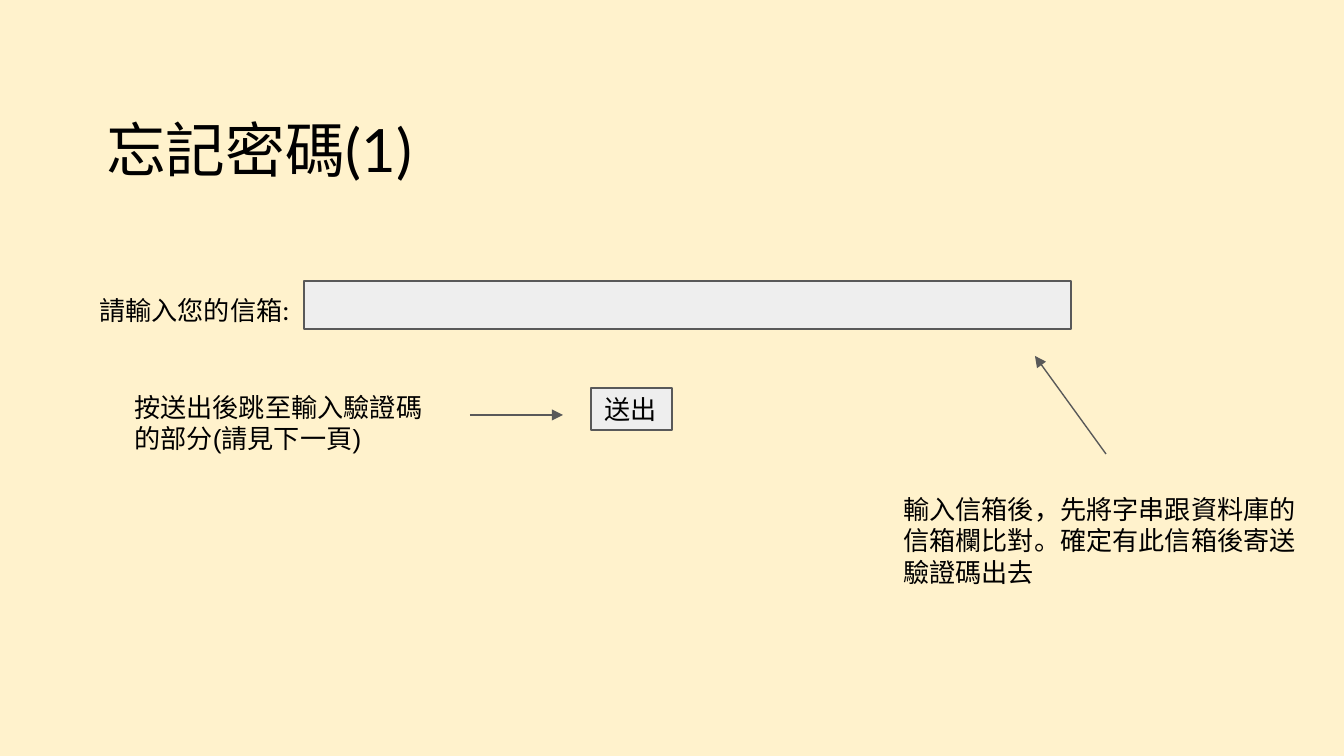
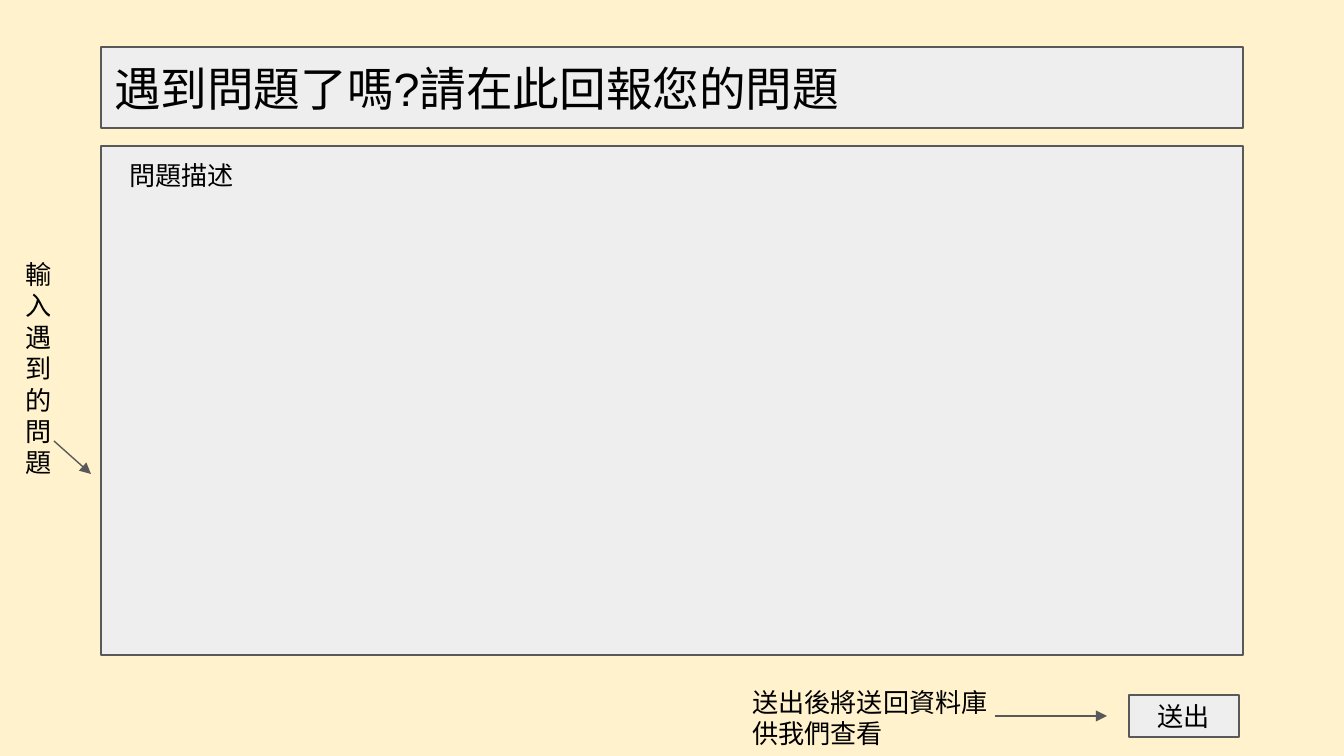
from dataclasses import dataclass

from lxml import etree
from pptx import Presentation
from pptx import util as u
from pptx.dml.color import RGBColor
from pptx.enum import shapes, text
from pptx.oxml import ns

PX_PER_INCH = 134.4


@dataclass(frozen=True)
class Theme:
    background: str = "FFF2CC"
    control: str = "EEEEEE"
    outline: str = "595959"
    ink: str = "000000"
    body_font: str = "Arial"
    title_font: str = "Lato"
    title_size: int = 32
    heading_size: int = 25
    body_size: int = 14
    line_width: float = 0.75
    inset: float = 0.1


THEME = Theme()


@dataclass(frozen=True)
class Box:
    left: int
    top: int
    width: int
    height: int

    def inner(self, left, top, width, height):
        return Box(self.left + left, self.top + top, width, height)

    def emu(self):
        return [px(n) for n in (self.left, self.top, self.width, self.height)]


def px(count):
    return u.Emu(round(count * 914400 / PX_PER_INCH))


def rgb(colour):
    return RGBColor.from_string(colour)


def assign(target, values):
    for name, value in values.items():
        setattr(target, name, value)


# Shared parts
def new_slide(presentation):
    slide = presentation.slides.add_slide(presentation.slide_layouts[6])
    fill = slide.background.fill
    fill.solid()
    fill.fore_color.rgb = rgb(THEME.background)
    return slide


def outline(line):
    line.color.rgb = rgb(THEME.outline)
    line.width = u.Pt(THEME.line_width)


def write(shape, words, size=THEME.body_size, font=THEME.body_font,
          align=text.PP_ALIGN.LEFT, anchor=text.MSO_ANCHOR.TOP):
    frame = shape.text_frame
    sides = ("left", "top", "right", "bottom")
    assign(frame, {f"margin_{side}": u.Inches(THEME.inset) for side in sides})
    assign(frame, {"word_wrap": True, "vertical_anchor": anchor})
    paragraph = frame.paragraphs[0]
    paragraph.alignment = align
    run = paragraph.add_run()
    run.text = words
    assign(run.font, {"size": u.Pt(size), "name": font})
    run.font.color.rgb = rgb(THEME.ink)


def add_text(slide, box, words, **style):
    write(slide.shapes.add_textbox(*box.emu()), words, **style)


def add_control(slide, box, words=None, **style):
    shape = slide.shapes.add_shape(shapes.MSO_SHAPE.RECTANGLE, *box.emu())
    shape.shadow.inherit = False
    shape.fill.solid()
    shape.fill.fore_color.rgb = rgb(THEME.control)
    outline(shape.line)
    if words:
        write(shape, words, anchor=text.MSO_ANCHOR.MIDDLE, **style)


def add_arrow(slide, box, start, end):
    ends = [px(n) for x, y in (start, end) for n in (box.left + x, box.top + y)]
    arrow = slide.shapes.add_connector(shapes.MSO_CONNECTOR.STRAIGHT, *ends)
    outline(arrow.line)
    properties = arrow.element.spPr
    line = properties.find(ns.qn("a:ln"))
    etree.SubElement(line, ns.qn("a:tailEnd"), type="triangle")
    etree.SubElement(properties, ns.qn("a:effectLst"))


# Note, arrow and send button, used on both slides
def submit_row(slide, box, words, note_size, arrow_span, arrow_y, button_size,
               button_y, align):
    add_text(slide, box.inner(0, 0, *note_size), words)
    add_arrow(slide, box, *[(x, arrow_y) for x in arrow_span])
    button = box.inner(box.width - button_size[0], button_y, *button_size)
    add_control(slide, button, "送出", align=align)


# Email field with its label and the note on checking
def email_field(slide, box):
    add_text(slide, box.inner(0, 0, 259, 75), "請輸入您的信箱:", font=THEME.title_font)
    add_control(slide, box.inner(218, 0, 767, 48))
    add_arrow(slide, box, (1020, 173), (949, 75))
    add_text(slide, box.inner(box.width - 429, box.height - 98, 429, 98),
             "輸入信箱後，先將字串跟資料庫的信箱欄比對。確定有此信箱後寄送驗證碼出去")


# Report heading above the description panel
def report_form(slide, box):
    panel_top = 99
    add_control(slide, box.inner(0, panel_top, box.width, box.height - panel_top))
    add_text(slide, box.inner(-55, panel_top, 271, 117), "問題描述",
             align=text.PP_ALIGN.CENTER)
    add_control(slide, box.inner(0, 0, box.width, 81),
                "遇到問題了嗎?請在此回報您的問題", size=THEME.heading_size)


# Narrow note in the left margin, pointing at the panel
def side_note(slide, box):
    add_text(slide, box.inner(0, 0, 51, 181), "輸入遇到的問題")
    add_arrow(slide, box, (42, 196), (box.width, box.height))


def forgot_password(presentation):
    slide = new_slide(presentation)
    add_text(slide, Box(93, 99, 797, 120), "忘記密碼(1)",
             size=THEME.title_size, font=THEME.title_font)
    email_field(slide, Box(86, 281, 1233, 297))
    submit_row(slide, Box(121, 378, 551, 75),
               "按送出後跳至輸入驗證碼的部分(請見下一頁)",
               note_size=(333, 75), arrow_span=(349, 442), arrow_y=37,
               button_size=(81, 42), button_y=10, align=text.PP_ALIGN.LEFT)


def report_problem(presentation):
    slide = new_slide(presentation)
    report_form(slide, Box(101, 47, 1142, 608))
    side_note(slide, Box(12, 245, 79, 229))
    submit_row(slide, Box(739, 673, 500, 64), "送出後將送回資料庫供我們查看",
               note_size=(271, 46), arrow_span=(256, 368), arrow_y=43,
               button_size=(110, 42), button_y=22, align=text.PP_ALIGN.CENTER)


def main():
    presentation = Presentation()
    assign(presentation, {"slide_width": px(1344), "slide_height": px(756)})
    forgot_password(presentation)
    report_problem(presentation)
    presentation.save("out.pptx")


if __name__ == "__main__":
    main()
